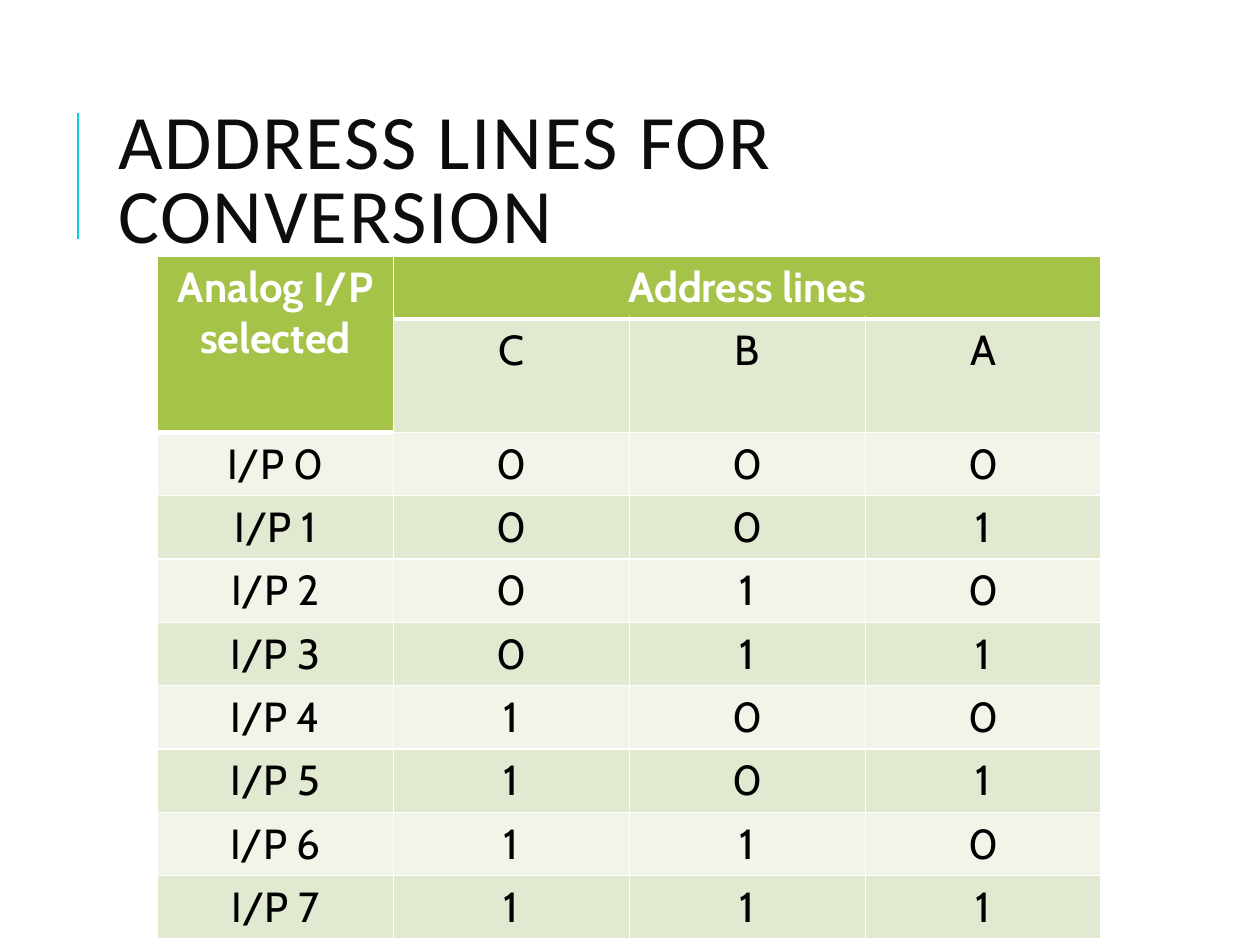
from lxml import etree
from pptx import Presentation
from pptx.dml.color import RGBColor
from pptx.enum.shapes import MSO_CONNECTOR
from pptx.enum.text import MSO_ANCHOR, PP_ALIGN
from pptx.oxml.ns import qn
from pptx.util import Pt

STRAIGHT = MSO_CONNECTOR.STRAIGHT
MIDDLE = MSO_ANCHOR.MIDDLE
CENTER = PP_ALIGN.CENTER
GREEN, PALE, LIGHT, WHITE = "A5C249", "E1E9D0", "F0F4E9", "FFFFFF"


def color(value):
    return RGBColor.from_string(value)


def format_font(font, values, ink):
    for name, value in values.items():
        setattr(font, name, value)
    font.color.rgb = color(ink)


deck = Presentation()
deck.slide_width, deck.slide_height = Pt(720), Pt(540)
page = deck.slides.add_slide(deck.slide_layouts[6])

accent = page.shapes.add_connector(STRAIGHT, Pt(44.64), Pt(136.8), Pt(44.64), Pt(64.8))
accent.line.color.rgb = color("0BD0D9")
accent.line.width = Pt(1.5)
etree.SubElement(accent._element.spPr, qn("a:effectLst"))

title = page.shapes.add_textbox(Pt(60.48), Pt(46.08), Pt(573.84), Pt(118.08))
title.text_frame.word_wrap = True
title.text_frame.vertical_anchor = MIDDLE
para = title.text_frame.paragraphs[0]
para.line_spacing = 0.8
span = para.add_run()
span.text = "ADDRESS LINES FOR CONVERSION"
format_font(span.font, {"name": "Calibri", "size": Pt(44)}, "0D0D0D")
span._r.get_or_add_rPr().set("spc", "100")

rows = [["Analog I/P selected", "Address lines", "", ""], ["", "C", "B", "A"]]
rows += [[f"I/P {number}", *f"{number:03b}"] for number in range(8)]

frame = page.shapes.add_table(len(rows), 4, Pt(90), Pt(146.16), Pt(539.28), Pt(360))
table = frame.table
for column in table.columns:
    column.width = Pt(134.82)
for index, row in enumerate(table.rows):
    row.height = Pt(35.2 if index < 2 else 36.2)
table.cell(0, 0).merge(table.cell(1, 0))
table.cell(0, 1).merge(table.cell(0, 3))

headers = {(0, 0), (0, 1), (0, 2), (0, 3), (1, 0)}
for r, values in enumerate(rows):
    for c, text in enumerate(values):
        cell = table.cell(r, c)
        header = (r, c) in headers
        below_header = (r - 1, c) in headers and not header
        widths = {"L": 1, "R": 1, "T": 3 if below_header else 1, "B": 3 if header else 1}
        properties = cell._tc.get_or_add_tcPr()
        for side, width in widths.items():
            border = etree.SubElement(properties, qn(f"a:ln{side}"), w=str(Pt(width)))
            fill = etree.SubElement(border, qn("a:solidFill"))
            etree.SubElement(fill, qn("a:srgbClr"), val=WHITE)
        cell.fill.solid()
        cell.fill.fore_color.rgb = color(GREEN if header else PALE if r % 2 else LIGHT)
        para = cell.text_frame.paragraphs[0]
        para.alignment = CENTER
        if text:
            span = para.add_run()
            span.text = text
            style = {"name": "Cabin", "size": Pt(24), "bold": header}
            format_font(span.font, style, WHITE if header else "000000")

deck.save("out.pptx")
